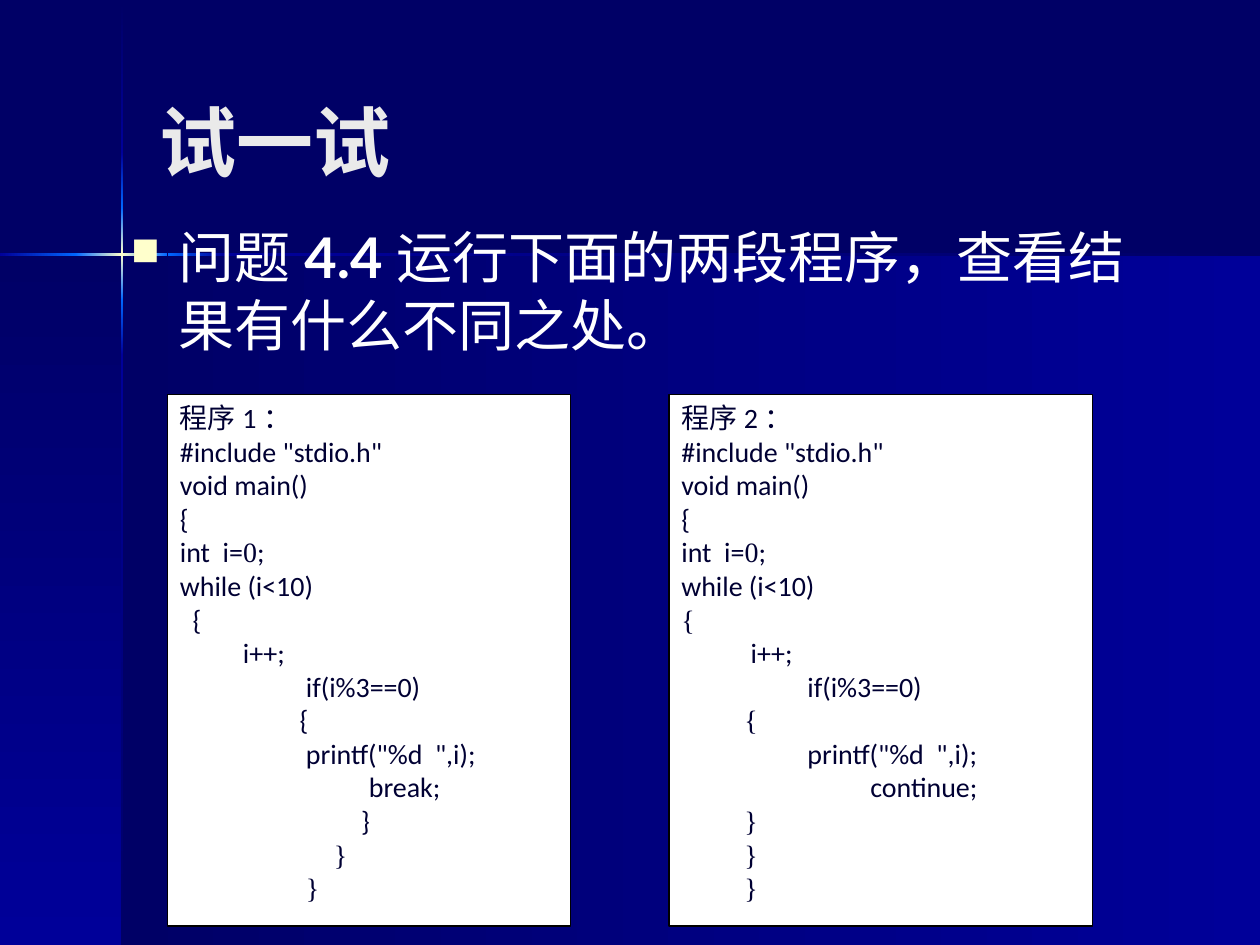
from typing import NamedTuple

from lxml.etree import SubElement
from pptx import Presentation
from pptx.dml.color import RGBColor
from pptx.enum.shapes import MSO_SHAPE as Shape
from pptx.enum.text import MSO_ANCHOR as Anchor, PP_ALIGN as Align
from pptx.oxml import parse_xml
from pptx.oxml.ns import nsdecls, qn
from pptx.util import Inches, Pt

SLIDE_WIDTH, SLIDE_HEIGHT = Inches(10), Inches(7.5)
COLORS = {
    "navy": "000066", "blue": "000099", "bright": "0066FF", "cream": "FFFFCC",
    "title": "EAEAEA", "white": "FFFFFF", "black": "000000", "code": "000033",
}
HEADING_FONT, CODE_FONT, SERIF = "Lato", "Calibri", "Times New Roman"
ACROSS, DOWN = 0, 90


class Area(NamedTuple):
    """A rectangle in percent of the slide's width and height."""
    left: float
    top: float
    width: float
    height: float

    def emu(self) -> tuple[int, int, int, int]:
        sizes = (SLIDE_WIDTH, SLIDE_HEIGHT) * 2
        return tuple(round(share * size / 100) for share, size in zip(self, sizes))


class Band(NamedTuple):
    area: Area
    colors: tuple[str, ...]
    angle: int


class Piece(NamedTuple):
    text: str
    font: str = CODE_FONT


class Line(NamedTuple):
    pieces: tuple[Piece, ...]
    indent: float = 0


class Program(NamedTuple):
    area: Area
    lines: tuple[Line, ...]


def code(text: str, indent: float = 0, font: str = CODE_FONT) -> Line:
    return Line((Piece(text, font),), indent)


def opening(number: int) -> tuple[Line, ...]:
    """The lines with which both programs begin."""
    return (
        code(f"程序{number}："), code('#include "stdio.h"'), code("void main()"), code("{"),
        Line((Piece("int  i="), Piece("0", SERIF), Piece(";"))),
        code("while (i<10)"),
    )


CROSS_X, CROSS_Y = 9.6, 26.8
THIN_WIDTH, THIN_HEIGHT = 0.2, 0.27


def upright(top: float, bottom: float, *colors: str) -> Band:
    return Band(Area(CROSS_X, top, THIN_WIDTH, bottom - top), colors, DOWN)


def level(left: float, right: float, *colors: str) -> Band:
    return Band(Area(left, CROSS_Y, right - left, THIN_HEIGHT), colors, ACROSS)


BANDS = (
    Band(Area(9.7, 26.93, 90.3, 73.07), ("navy", "blue"), ACROSS),
    Band(Area(0, 26.93, 9.7, 73.07), ("navy", "blue"), DOWN),
    upright(0.13, 16.13, "navy", "blue"),
    upright(37.6, 100, "blue", "navy"),
    level(17.7, 100, "blue", "navy"),
    upright(31.73, 37.6, "bright", "blue"),
    upright(16.13, 22, "blue", "bright"),
    upright(22, 31.73, "bright", "cream", "bright"),
    level(0, 6.1, "blue", "bright"),
    level(13.3, 17.7, "bright", "blue"),
    level(6, 13.3, "bright", "cream", "bright"),
)

PRINT = code('printf("%d  ",i);', 1)
CONDITION = code("          if(i%3==0)", 0.5)
PROGRAMS = (
    Program(Area(53.1, 41.73, 33.6, 56.27), opening(2) + (
        code("{", font=SERIF), code(" i++;", 0.5), CONDITION, code("{", 0.5, SERIF),
        PRINT, code(" \tcontinue;", 1),
    ) + (code("}", 0.5, SERIF),) * 3),
    Program(Area(13.3, 41.73, 32, 56.27), opening(1) + (
        code("  {"), code("i++;", 0.5), CONDITION, code("         {", 0.5),
        PRINT, code("      \tbreak;", 1),
        Line((Piece("       ", SERIF), Piece(" }")), 1),
        code("    }", 1, SERIF), code("}", 1, SERIF),
    )),
)


def rgb(name: str) -> RGBColor:
    return RGBColor.from_string(COLORS[name])


def draw_band(slide, band: Band) -> None:
    shape = slide.shapes.add_shape(Shape.RECTANGLE, *band.area.emu())
    shape.shadow.inherit = False
    shape.line.fill.background()
    last = len(band.colors) - 1
    stops = "".join(
        f'<a:gs pos="{100000 * i // last}"><a:srgbClr val="{COLORS[name]}"/></a:gs>'
        for i, name in enumerate(band.colors))
    gradient = parse_xml(
        f'<a:gradFill {nsdecls("a")} rotWithShape="1"><a:gsLst>{stops}</a:gsLst>'
        f'<a:lin ang="{band.angle * 60000}" scaled="0"/></a:gradFill>')
    shape._element.spPr.find(qn("a:prstGeom")).addnext(gradient)


def add_heading(slide, area: Area, pieces: tuple[str, ...], size: int, color: str,
                anchor: Anchor):
    """Adds a text box with one paragraph and returns that paragraph."""
    frame = slide.shapes.add_textbox(*area.emu()).text_frame
    frame.word_wrap = True
    frame.vertical_anchor = anchor
    paragraph = frame.paragraphs[0]
    for text in pieces:
        paragraph.add_run().text = text
    return paragraph


def style(font, name: str, size: int, color: str) -> None:
    font.name, font.size = name, Pt(size)
    font.color.rgb = rgb(color)


def add_square_bullet(paragraph, indent: float) -> None:
    properties = paragraph._p.get_or_add_pPr()
    properties.set("marL", str(Inches(indent)))
    properties.set("indent", str(-Inches(indent)))
    bullet_color = SubElement(properties, qn("a:buClr"))
    SubElement(bullet_color, qn("a:srgbClr"), val=COLORS["cream"])
    SubElement(properties, qn("a:buSzPct"), val="70000")
    SubElement(properties, qn("a:buChar"), char="■")


def draw_program(slide, program: Program) -> None:
    box = slide.shapes.add_shape(Shape.RECTANGLE, *program.area.emu())
    box.shadow.inherit = False
    box.fill.solid()
    box.fill.fore_color.rgb = rgb("white")
    box.line.color.rgb = rgb("black")
    box.line.width = Pt(0.75)
    frame = box.text_frame
    frame.word_wrap = True
    frame.vertical_anchor = Anchor.TOP
    for number, line in enumerate(program.lines):
        paragraph = frame.add_paragraph() if number else frame.paragraphs[0]
        paragraph.alignment = Align.JUSTIFY
        paragraph._p.get_or_add_pPr().set("marL", str(Inches(line.indent)))
        style(paragraph.font, line.pieces[0].font, 16, "code")
        for piece in line.pieces:
            run = paragraph.add_run()
            run.text = piece.text
            style(run.font, piece.font, 16, "code")


def main() -> None:
    deck = Presentation()
    deck.slide_width, deck.slide_height = SLIDE_WIDTH, SLIDE_HEIGHT
    slide = deck.slides.add_slide(deck.slide_layouts[6])
    slide.background.fill.solid()
    slide.background.fill.fore_color.rgb = rgb("navy")
    for band in BANDS:
        draw_band(slide, band)

    title = add_heading(slide, Area(11.7, 4.4, 82.5, 20.93), ("试一试",), 44, "title",
                        Anchor.MIDDLE)
    style(title.font, HEADING_FONT, 44, "title")
    title.font.bold = True

    question = add_heading(
        slide, Area(9.4, 22.93, 82.5, 60),
        ("问题", "4.4", "运行下面的两段程序，查看结果有什么不同之处。"), 32, "white", Anchor.TOP)
    add_square_bullet(question, 0.38)
    style(question.font, HEADING_FONT, 32, "white")
    question.runs[1].font.bold = True

    for program in PROGRAMS:
        draw_program(slide, program)
    deck.save("out.pptx")


if __name__ == "__main__":
    main()
